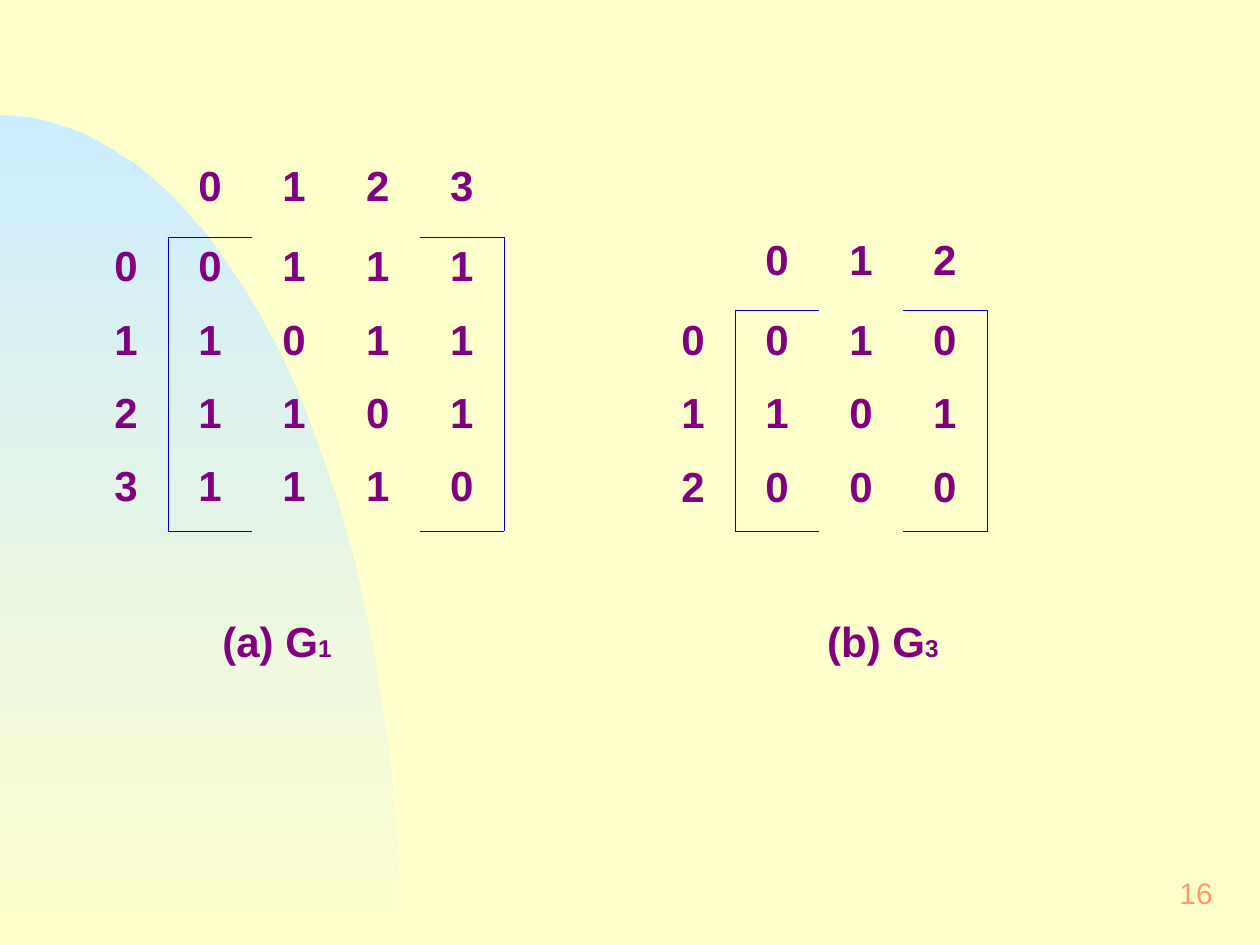
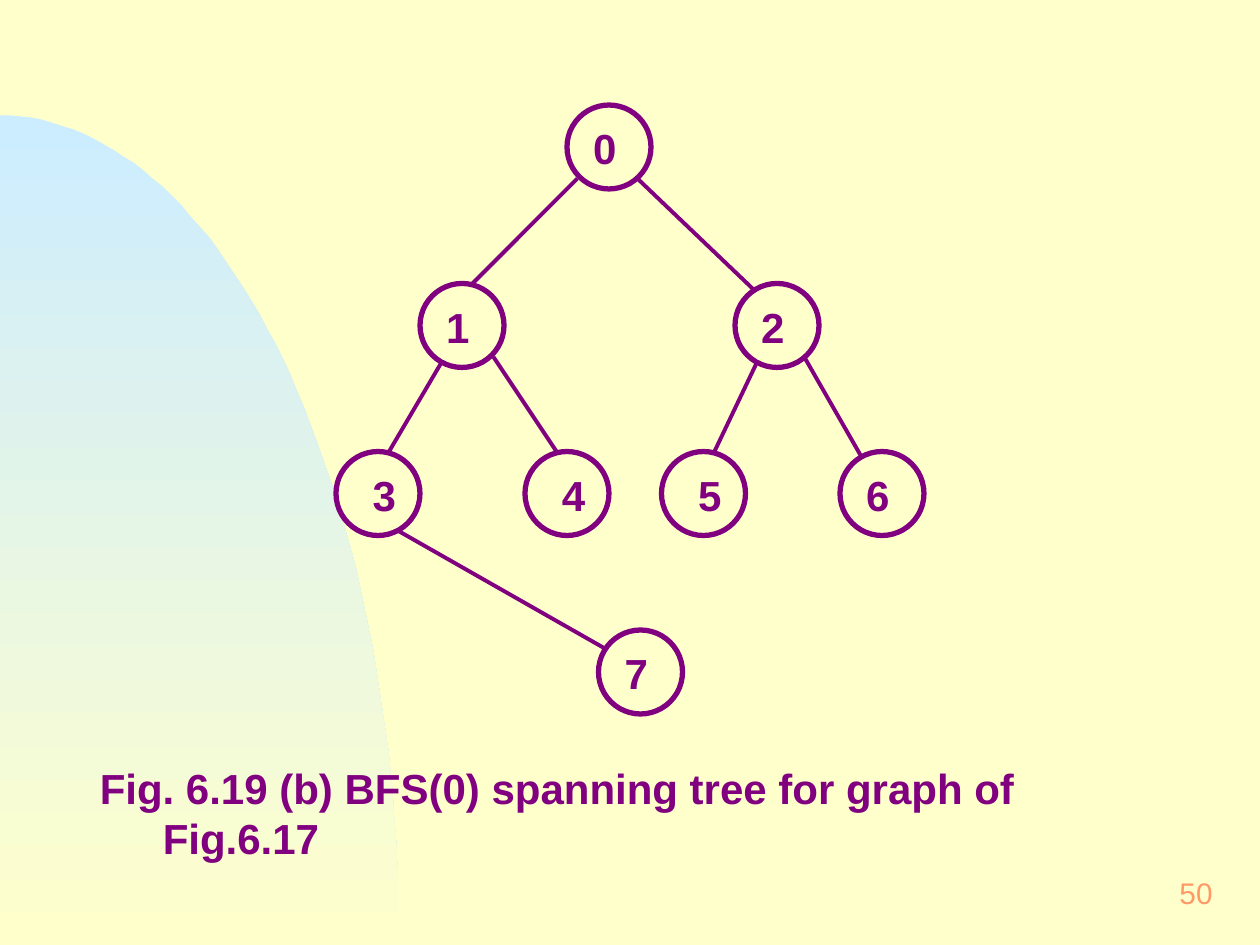
from math import cos, pi, sin

from lxml.etree import SubElement
from pptx import Presentation
from pptx.dml.color import RGBColor
from pptx.enum.shapes import MSO_CONNECTOR, MSO_SHAPE
from pptx.enum.text import MSO_ANCHOR, PP_ALIGN
from pptx.oxml.ns import qn
from pptx.util import Pt

PX = 7620  # EMU in one px: 120 px to the inch
WIDTH, HEIGHT = 1200, 900
CREAM, SKY, PURPLE, BLUE, ORANGE = "FFFFCC", "CCECFF", "800080", "0000CC", "FF9966"
BODY = {"name": "Arial", "size": Pt(24), "bold": True}
NUMBER = {"name": "Arial", "size": Pt(17), "bold": False}
CELL, HEADER_ROW, ROW = 80, 76, 70
NODE = 80


def rgb(value):
    return RGBColor.from_string(value)


def assign(target, values):
    for name, value in values.items():
        setattr(target, name, value)


class Deck:
    """Holds the shared style and the slide being filled."""

    def __init__(self):
        self.prs = Presentation()
        assign(self.prs, {"slide_width": WIDTH * PX, "slide_height": HEIGHT * PX})
        self.slide = None
        background = self.prs.slide_master.background.fill
        background.solid()
        background.fore_color.rgb = rgb(CREAM)

    def new_slide(self, number):
        self.slide = self.prs.slides.add_slide(self.prs.slide_layouts[6])
        self.text((920, 820, 250, 60), [(number, 0)], NUMBER, ORANGE,
                  frame={"vertical_anchor": MSO_ANCHOR.MIDDLE, "word_wrap": False},
                  align=PP_ALIGN.RIGHT)

    def master_dome(self):
        """Draw the quarter ellipse and move it to the master, behind all else."""
        radius_x, radius_y, steps = 380, 790, 60
        angles = [pi / 2 * step / steps for step in range(1, steps + 1)]
        arc = [(round(radius_x * sin(a)), round(HEIGHT - radius_y * cos(a)))
               for a in angles]
        builder = self.slide.shapes.build_freeform(0, HEIGHT - radius_y, scale=PX)
        builder.add_line_segments(arc + [(0, HEIGHT)], close=True)
        dome = builder.convert_to_shape()
        dome.shadow.inherit = False
        dome.line.fill.background()
        dome.fill.gradient()
        dome.fill.gradient_angle = 270
        for stop, color in zip(dome.fill.gradient_stops, (SKY, CREAM)):
            stop.color.rgb = rgb(color)
        self.prs.slide_master.shapes._spTree.insert(2, dome._element)

    def add_runs(self, paragraph, runs, font, color, align=None):
        paragraph.alignment = align
        for words, baseline in runs:
            run = paragraph.add_run()
            run.text = words
            assign(run.font, font)
            run.font.color.rgb = rgb(color)
            if baseline:
                run.font._element.set("baseline", str(baseline))

    def text(self, box, runs, font=BODY, color=PURPLE, inset=(15, 7), frame=None,
             align=None):
        """Add a text box and return its paragraph."""
        text_frame = self.slide.shapes.add_textbox(*(v * PX for v in box)).text_frame
        side, edge = (v * PX for v in inset)
        assign(text_frame, {"word_wrap": True, "margin_left": side,
                            "margin_right": side, "margin_top": edge,
                            "margin_bottom": edge, **(frame or {})})
        paragraph = text_frame.paragraphs[0]
        self.add_runs(paragraph, runs, font, color, align)
        return paragraph

    def cell_borders(self, cell, drawn):
        for side in "LRTB":
            border = SubElement(cell._tc.get_or_add_tcPr(), qn(f"a:ln{side}"), w="5715")
            if side in drawn:
                fill = SubElement(border, qn("a:solidFill"))
                SubElement(fill, qn("a:srgbClr"), val=BLUE)
            else:
                SubElement(border, qn("a:noFill"))

    def adjacency_matrix(self, left, top, matrix):
        """Add a bracketed matrix with vertex numbers above and to the left."""
        n = len(matrix)
        vertices = [str(v) for v in range(n)]
        rows = [["", *vertices]] + [[v, *line] for v, line in zip(vertices, matrix)]
        table = self.slide.shapes.add_table(
            n + 1, n + 1, left * PX, top * PX, (n + 1) * CELL * PX,
            (HEADER_ROW + n * ROW) * PX).table
        assign(table, {"first_row": False, "horz_banding": False})
        for column in table.columns:
            column.width = CELL * PX
        for r, values in enumerate(rows):
            table.rows[r].height = (ROW if r else HEADER_ROW) * PX
            for c, value in enumerate(values):
                cell = table.cell(r, c)
                bracket = c in (1, n)
                rules = {"L": r > 0 and c == 1, "R": r > 0 and c in (0, n),
                         "T": bracket and r == 1, "B": bracket and r in (0, n)}
                self.cell_borders(cell, [side for side in rules if rules[side]])
                cell.fill.background()
                if value:
                    self.add_runs(cell.text_frame.paragraphs[0], [(value, 0)], BODY,
                                  PURPLE, PP_ALIGN.CENTER)

    def node(self, label, left, top, label_shift, label_width):
        circle = self.slide.shapes.add_shape(
            MSO_SHAPE.OVAL, left * PX, top * PX, NODE * PX, NODE * PX)
        circle.shadow.inherit = False
        circle.fill.background()
        circle.line.color.rgb = rgb(PURPLE)
        circle.line.width = Pt(3)
        self.text((left + label_shift, top + 10, label_width, 62), [(label, 0)])

    def edge(self, *ends):
        line = self.slide.shapes.add_connector(
            MSO_CONNECTOR.STRAIGHT, *(v * PX for v in ends))
        line.line.color.rgb = rgb(PURPLE)
        line.line.width = Pt(2.25)
        SubElement(line._element.spPr, qn("a:effectLst"))


def matrices_slide(deck):
    deck.adjacency_matrix(80, 150, ["0111", "1011", "1101", "1110"])
    deck.adjacency_matrix(620, 220, ["010", "101", "000"])
    caption = deck.text((200, 580, 820, 67),
                        [("(a) G", 0), ("1", -25), ("\t(b) G", 0), ("3", -25)],
                        inset=(12, 6))
    tabs = SubElement(caption._p.get_or_add_pPr(), qn("a:tabLst"))
    SubElement(tabs, qn("a:tab"), pos=str(576 * PX), algn="l")


def spanning_tree_slide(deck):
    nodes = [(540, 100, 10, 60), (400, 270, 10, 60), (700, 270, 10, 60),
             (320, 430, 20, 70), (500, 430, 20, 80), (630, 430, 20, 50),
             (800, 430, 10, 60), (570, 600, 10, 60)]
    edges = [(550, 170, 450, 270), (607, 170, 718, 276), (420, 346, 370, 431),
             (470, 340, 530, 430), (720, 347, 680, 431), (766, 340, 821, 436),
             (380, 506, 575, 617)]
    for vertex, place in enumerate(nodes):
        deck.node(str(vertex), *place)
    for ends in edges:
        deck.edge(*ends)
    caption = deck.text(
        (80, 719, 1060, 110),
        [("Fig. 6.19 (b) BFS(0) spanning tree for graph of Fig.6.17", 0)])
    hanging = caption._p.get_or_add_pPr()
    hanging.set("marL", str(60 * PX))
    hanging.set("indent", str(-60 * PX))


def main():
    deck = Deck()
    deck.new_slide("16")
    deck.master_dome()
    matrices_slide(deck)
    deck.new_slide("50")
    spanning_tree_slide(deck)
    deck.prs.save("out.pptx")


if __name__ == "__main__":
    main()
